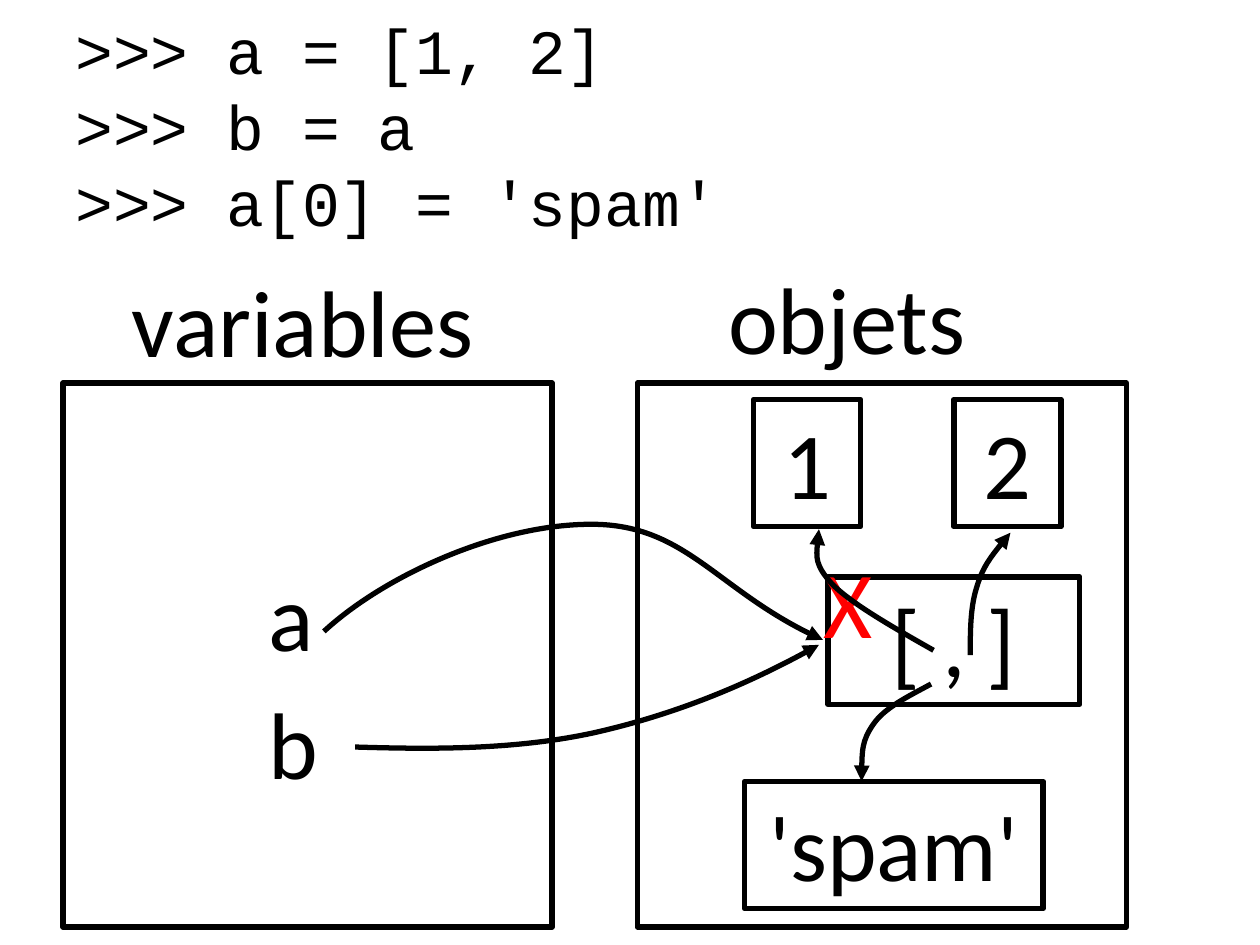
from dataclasses import dataclass

from lxml import etree
from pptx import Presentation
from pptx import util as u
from pptx.dml import color
from pptx.enum import shapes, text
from pptx.oxml import ns

BLACK = "000000"
RED = "FF0000"
LINE_WIDTH = u.Pt(3)
LABEL_HEIGHT = 2.57
BODY = {"name": "Calibri", "size": u.Pt(54)}
CODE = {"name": "Courier New", "size": u.Pt(36)}
FRAME = {
    "word_wrap": True,
    "auto_size": text.MSO_AUTO_SIZE.SHAPE_TO_FIT_TEXT,
    "vertical_anchor": text.MSO_ANCHOR.TOP,
}
LEFT = {"alignment": text.PP_ALIGN.LEFT}
CENTRED = {"alignment": text.PP_ALIGN.CENTER}
CODE_LINES = {**LEFT, "line_spacing": u.Pt(43.7)}


@dataclass
class Label:
    words: str
    left: float
    top: float
    width: float
    colour: str = BLACK


@dataclass
class Box:
    left: float
    top: float
    width: float
    height: float = LABEL_HEIGHT
    words: str = ""


@dataclass
class Arrow:
    start: tuple[float, float]
    bends: list[tuple[float, float]]


def rgb(value: str) -> color.RGBColor:
    return color.RGBColor.from_string(value)


def apply(target, values: dict) -> None:
    for name, value in values.items():
        setattr(target, name, value)


def write(shape, words: str, font: dict, layout: dict, colour: str = BLACK) -> None:
    frame = shape.text_frame
    frame.text = words
    apply(frame, FRAME)
    for paragraph in frame.paragraphs:
        apply(paragraph, layout)
        for run in paragraph.runs:
            apply(run.font, font)
            run.font.color.rgb = rgb(colour)


def outline(shape) -> None:
    shape.shadow.inherit = False
    shape.fill.background()
    shape.line.color.rgb = rgb(BLACK)
    shape.line.width = LINE_WIDTH


def draw_label(slide, label: Label) -> None:
    shape = slide.shapes.add_textbox(
        *map(u.Cm, (label.left, label.top, label.width, LABEL_HEIGHT)))
    write(shape, label.words, BODY, LEFT, label.colour)


def draw_box(slide, box: Box) -> None:
    shape = slide.shapes.add_shape(
        shapes.MSO_SHAPE.RECTANGLE,
        *map(u.Cm, (box.left, box.top, box.width, box.height)))
    outline(shape)
    if box.words:
        write(shape, box.words, BODY, CENTRED)


def draw_arrow(slide, arrow: Arrow) -> None:
    builder = slide.shapes.build_freeform(*map(u.Cm, arrow.start))
    builder.add_line_segments(
        [(u.Cm(x), u.Cm(y)) for x, y in arrow.bends], close=False)
    shape = builder.convert_to_shape()
    outline(shape)
    segments = list(shape._element.iter(ns.qn("a:lnTo")))
    outline_path = segments[0].getparent()
    for first in range(0, len(segments), 3):
        curve = etree.SubElement(outline_path, ns.qn("a:cubicBezTo"))
        for segment in segments[first:first + 3]:
            curve.append(segment[0])
            outline_path.remove(segment)
    etree.SubElement(shape.line._get_or_add_ln(), ns.qn("a:tailEnd"), type="triangle")


FRAMES = [Box(left, 7.72, 9.86, 10.97) for left in (1.27, 12.85)]
OBJECTS = [
    Box(16.69, 11.63, 5.08, words="[ , ]"),
    Box(15.01, 15.75, 6.02, words="'spam'"),
    Box(15.19, 8.05, 2.16, words="1"),
    Box(19.23, 8.05, 2.16, words="2"),
]
LABELS = [
    Label("objets", 14.43, 5.11, 9.6),
    Label("variables", 2.41, 5.18, 9.6),
    Label("a", 5.16, 11.1, 3),
    Label("b", 5.16, 13.69, 3),
    Label("X", 16.36, 10.85, 1.63, RED),
]
ARROWS = [
    Arrow((6.53, 12.73), [(7.72, 11.63), (9.96, 10.59), (11.86, 10.57),
                          (13.77, 10.54), (14.45, 11.94), (16.59, 12.9)]),
    Arrow((7.16, 15.06), [(8.79, 15.11), (10.39, 15.11), (11.94, 14.78),
                          (13.51, 14.43), (15.11, 13.79), (16.51, 13)]),
    Arrow((18.82, 13.11), [(18.01, 12.65), (17.2, 12.19), (16.79, 11.79),
                           (16.41, 11.38), (16.46, 11.02), (16.51, 10.67)]),
    Arrow((19.56, 13.21), [(19.56, 12.73), (19.56, 12.24), (19.69, 11.84),
                           (19.81, 11.43), (20.09, 11.07), (20.37, 10.74)]),
    Arrow((18.77, 13.79), [(18.29, 14.05), (17.83, 14.27), (17.6, 14.61),
                           (17.37, 14.94), (17.37, 15.34), (17.37, 15.75)]),
]
SESSION = ">>> a = [1, 2]\n>>> b = a\n>>> a[0] = 'spam'"


def main() -> None:
    presentation = Presentation()
    apply(presentation, {"slide_width": u.Cm(25.4), "slide_height": u.Cm(19.05)})
    slide = presentation.slides.add_slide(presentation.slide_layouts[6])
    for box in FRAMES + OBJECTS:
        draw_box(slide, box)
    for label in LABELS:
        draw_label(slide, label)
    session = slide.shapes.add_textbox(*map(u.Cm, (1.27, 0.08, 18.52, 4.88)))
    write(session, SESSION, CODE, CODE_LINES)
    for arrow in ARROWS:
        draw_arrow(slide, arrow)
    presentation.save("out.pptx")


if __name__ == "__main__":
    main()
